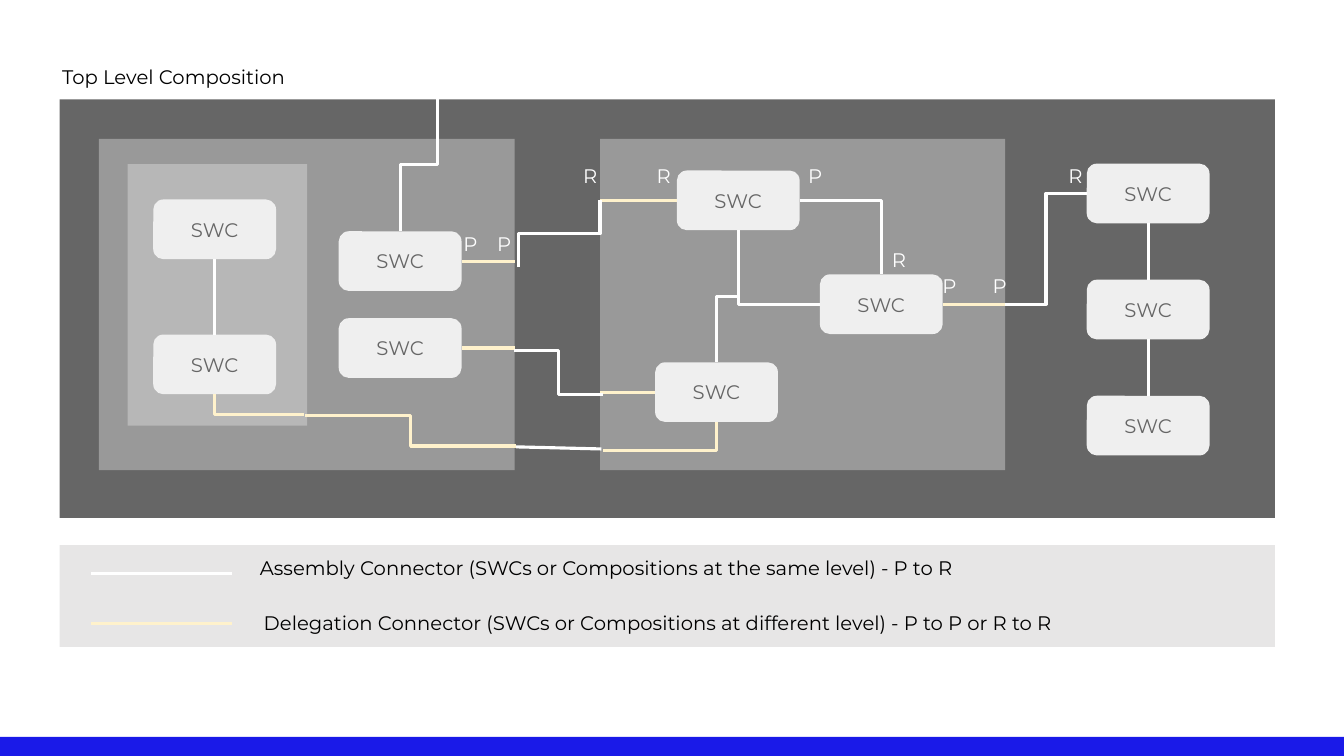
from dataclasses import dataclass

from lxml import etree
from pptx import Presentation
from pptx.dml.color import RGBColor
from pptx.enum.shapes import MSO_CONNECTOR, MSO_SHAPE
from pptx.enum.text import MSO_ANCHOR, MSO_AUTO_SIZE, PP_ALIGN
from pptx.oxml.ns import qn
from pptx.util import Pt

RECT, ROUNDED = MSO_SHAPE.RECTANGLE, MSO_SHAPE.ROUNDED_RECTANGLE
STRAIGHT, ELBOW = MSO_CONNECTOR.STRAIGHT, MSO_CONNECTOR.ELBOW
TOP_ANCHOR, MIDDLE = MSO_ANCHOR.TOP, MSO_ANCHOR.MIDDLE
LEFT_ALIGN, CENTER = PP_ALIGN.LEFT, PP_ALIGN.CENTER
NO_AUTOFIT = MSO_AUTO_SIZE.NONE
TOP, LEFT, BOTTOM, RIGHT = range(4)


@dataclass(frozen=True)
class Theme:
    font: str = "Montserrat"
    size: float = 14
    line: float = 2.25
    inset: float = 7.2
    ink: str = "000000"
    footer: str = "1A1AE8"
    legend: str = "E7E6E6"
    system: str = "666666"
    composition: str = "999999"
    nested: str = "B7B7B7"
    component: str = "EFEFEF"
    assembly: str = "FFFFFF"
    delegation: str = "FFF2CC"


class Diagram:
    SWC_W, SWC_H = 87.7, 42.6

    def __init__(self, slide, theme):
        self.slide, self.theme = slide, theme
        self.swcs = {}

    def set_text(self, sp, text, color, align=LEFT_ALIGN, anchor=TOP_ANCHOR):
        tf = sp.text_frame
        tf.word_wrap, tf.auto_size = True, NO_AUTOFIT
        tf.vertical_anchor = anchor
        inset = Pt(self.theme.inset)
        tf.margin_left = tf.margin_right = tf.margin_top = tf.margin_bottom = inset
        p = tf.paragraphs[0]
        p.text, p.alignment = text, align
        p.font.name, p.font.size = self.theme.font, Pt(self.theme.size)
        p.font.color.rgb = RGBColor.from_string(color)

    def title(self, text, x, y, w, h):
        sp = self.slide.shapes.title
        sp.left, sp.top, sp.width, sp.height = Pt(x), Pt(y), Pt(w), Pt(h)
        self.set_text(sp, text, self.theme.ink)

    def label(self, text, x, y, w=30, h=33, color=None):
        sp = self.slide.shapes.add_textbox(Pt(x), Pt(y), Pt(w), Pt(h))
        self.set_text(sp, text, color or self.theme.assembly)

    def panel(self, x, y, w, h, color, shape=RECT):
        sp = self.slide.shapes.add_shape(shape, Pt(x), Pt(y), Pt(w), Pt(h))
        sp.shadow.inherit = False
        sp.fill.solid()
        sp.fill.fore_color.rgb = RGBColor.from_string(color)
        sp.line.fill.background()
        return sp

    def swc(self, name, x, y):
        sp = self.panel(x, y, self.SWC_W, self.SWC_H, self.theme.component, ROUNDED)
        self.set_text(sp, "SWC", self.theme.system, CENTER, MIDDLE)
        self.swcs[name] = sp

    def point(self, end):
        """Turn (component name, side) into coordinates; pass coordinates through."""
        if not isinstance(end[0], str):
            return end
        sp, side = self.swcs[end[0]], end[1]
        x, y = sp.left.pt, sp.top.pt
        w, h = sp.width.pt, sp.height.pt
        return {TOP: (x + w / 2, y), LEFT: (x, y + h / 2),
                BOTTOM: (x + w / 2, y + h), RIGHT: (x + w, y + h / 2)}[side]

    def connector(self, kind, start, end, color):
        (x1, y1), (x2, y2) = self.point(start), self.point(end)
        cx = self.slide.shapes.add_connector(kind, Pt(x1), Pt(y1), Pt(x2), Pt(y2))
        cx.line.width = Pt(self.theme.line)
        cx.line.color.rgb = RGBColor.from_string(color)
        etree.SubElement(cx._element.spPr, qn("a:effectLst"))
        return cx

    def straight(self, start, end, color):
        cx = self.connector(STRAIGHT, start, end, color)
        for port, join in ((start, cx.begin_connect), (end, cx.end_connect)):
            if isinstance(port[0], str):
                join(self.swcs[port[0]], port[1])

    def elbow(self, start, end, color, bends=2, upright=False):
        """Draw a bent line; an upright one leaves its start vertically."""
        cx = self.connector(ELBOW, start, end, color)
        spPr = cx._element.spPr
        if bends == 1:
            spPr.find(qn("a:prstGeom")).set("prst", "bentConnector2")
        if not upright:
            return
        (x1, y1), (x2, y2) = self.point(start), self.point(end)
        w, h = abs(y2 - y1), abs(x2 - x1)
        cx.left, cx.top = Pt((x1 + x2 - w) / 2), Pt((y1 + y2 - h) / 2)
        cx.width, cx.height = Pt(w), Pt(h)
        rightward, downward = x2 > x1, y2 > y1
        xfrm = spPr.find(qn("a:xfrm"))
        xfrm.set("rot", str((270 if rightward else 90) * 60000))
        xfrm.set("flipH", str(int(rightward == downward)))
        xfrm.set("flipV", "0")


def main():
    prs = Presentation()
    prs.slide_width, prs.slide_height = Pt(960), Pt(540)
    theme = Theme()
    d = Diagram(prs.slides.add_slide(prs.slide_layouts[5]), theme)
    white, cream = theme.assembly, theme.delegation

    d.title("Top Level Composition", 37.2, 38.8, 190, 33)
    for panel in (
        (0, 526.4, 960, 13.6, theme.footer),
        (42.7, 389.3, 867.9, 72.7, theme.legend),
        (42.7, 71, 867.9, 299, theme.system),
        (70.7, 99.2, 297, 236.6, theme.composition),
        (428.6, 99.2, 289.4, 236.6, theme.composition),
        (91.2, 117.2, 128.2, 186.8, theme.nested),
    ):
        d.panel(*panel)

    for name, x, y in (
        ("nested top", 109.5, 142.5), ("nested bottom", 109.5, 239),
        ("left top", 242, 165.2), ("left bottom", 242, 227.3),
        ("middle top", 483.5, 121.8), ("middle right", 585.7, 196),
        ("middle bottom", 468, 258.8),
    ):
        d.swc(name, x, y)
    stack = ("right top", "right middle", "right bottom")
    for i, name in enumerate(stack):
        d.swc(name, 776.3, 116.9 + 82.9 * i)

    for upper, lower in (("nested top", "nested bottom"), stack[:2], stack[1:]):
        d.straight((upper, BOTTOM), (lower, TOP), white)
    for name, side, edge in (
        ("left top", RIGHT, 367.7), ("left bottom", RIGHT, 367.7),
        ("middle top", LEFT, 428.6), ("middle bottom", LEFT, 428.6),
        ("middle right", RIGHT, 718),
    ):
        port = (name, side)
        d.straight(port, (edge, d.point(port)[1]), cream)
    d.straight((368.6, 319.2), (429.6, 320.7), white)

    d.elbow(("middle top", RIGHT), ("middle right", TOP), white, bends=1)
    d.elbow(("middle top", BOTTOM), ("middle bottom", TOP), white, upright=True)
    d.elbow(("middle top", BOTTOM), ("middle right", LEFT), white, bends=1, upright=True)
    d.elbow(("nested bottom", BOTTOM), (217, 296), cream, bends=1, upright=True)
    d.elbow((218, 296.8), (368.6, 318.6), cream)
    d.elbow(("middle bottom", BOTTOM), (430.6, 321.7), cream, bends=1, upright=True)
    d.elbow((367.5, 250.3), (430.6, 281.6), white)
    d.elbow(("right top", LEFT), (718, 217.3), white)
    d.elbow(("left top", TOP), (312.3, 70), white, upright=True)
    d.elbow((370.2, 190.8), (428.6, 143.1), white, upright=True)

    for port, x, y in (
        ("P", 570.2, 110), ("R", 630, 170), ("P", 666, 188.2), ("P", 702, 188.2),
        ("R", 756, 110), ("R", 462, 110), ("R", 409.5, 110),
        ("P", 324, 158.3), ("P", 348, 158.3),
    ):
        d.label(port, x, y)

    for text, x, y, line_y, color in (
        ("Assembly Connector (SWCs or Compositions at the same level) - P to R",
         178.5, 389.9, 409.5, white),
        ("Delegation Connector (SWCs or Compositions at different level) - P to P or R to R",
         181.3, 429, 445.4, cream),
    ):
        d.straight((65, line_y), (165.6, line_y), color)
        d.label(text, x, y, w=635, color=theme.ink)

    prs.save("out.pptx")


if __name__ == "__main__":
    main()
